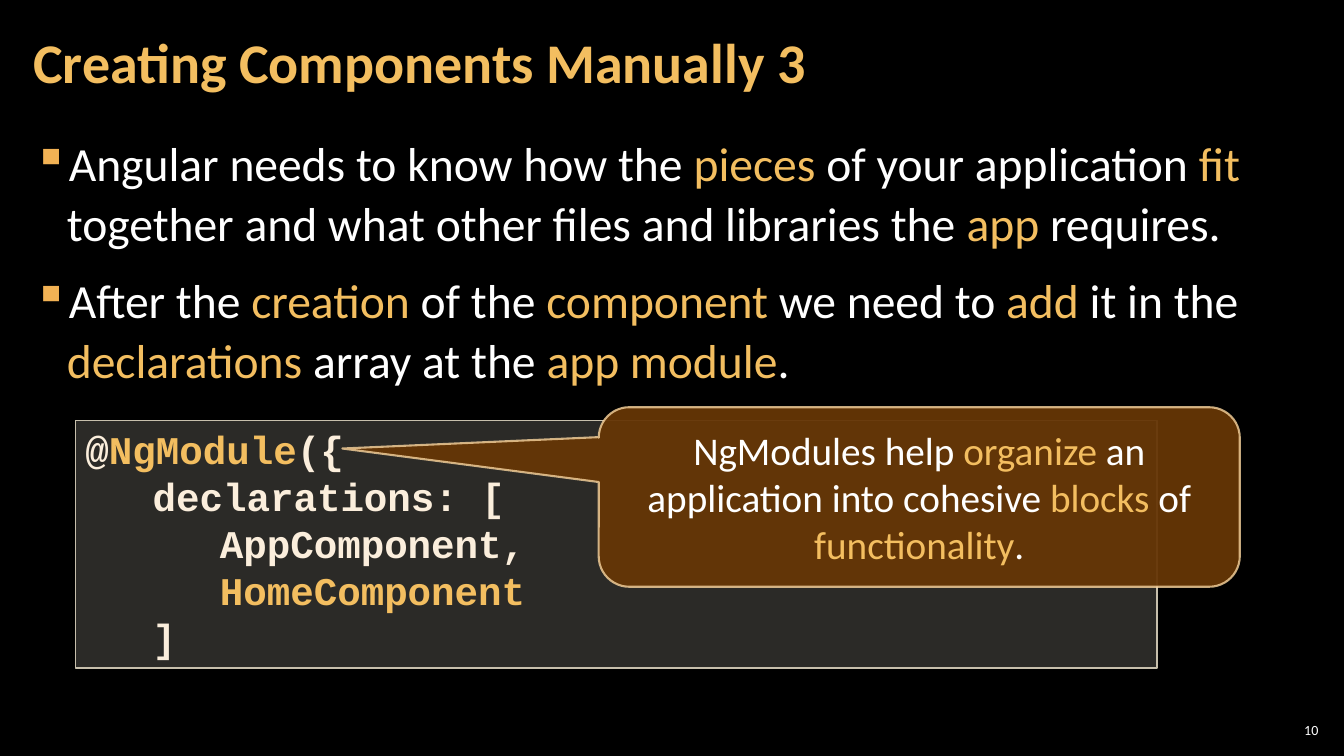
"""Build the slide on declaring an Angular component in its module."""
from dataclasses import dataclass

from lxml import etree
from pptx import Presentation
from pptx.dml.color import RGBColor
from pptx.enum.shapes import MSO_SHAPE
from pptx.enum.text import MSO_ANCHOR, PP_ALIGN
from pptx.oxml.ns import qn
from pptx.util import Pt

RECTANGLE = MSO_SHAPE.RECTANGLE
CALLOUT = MSO_SHAPE.ROUNDED_RECTANGULAR_CALLOUT
TOP, MIDDLE = MSO_ANCHOR.TOP, MSO_ANCHOR.MIDDLE
LEFT, CENTER, RIGHT = PP_ALIGN.LEFT, PP_ALIGN.CENTER, PP_ALIGN.RIGHT

BLACK = RGBColor(0x00, 0x00, 0x00)
WHITE = RGBColor(0xFF, 0xFF, 0xFF)
GOLD = RGBColor(0xF3, 0xBE, 0x60)
BULLET_GOLD = RGBColor(0xF2, 0xB2, 0x54)
CREAM = RGBColor(0xFB, 0xEE, 0xDC)
PANEL = RGBColor(0xD9, 0xD5, 0xC7)
PANEL_LINE = RGBColor(0xC7, 0xBF, 0xAC)
BROWN = RGBColor(0x66, 0x36, 0x06)
BROWN_LINE = RGBColor(0xF8, 0xD4, 0x9E)

MARK = "|"
INDENT = 48


@dataclass(frozen=True)
class Line:
    """A paragraph, with highlighted words between marks."""
    text: str
    level: int = 0


@dataclass(frozen=True)
class Style:
    """Format shared by all paragraphs of a block."""
    size: float
    color: RGBColor = WHITE
    font: str = "Calibri"
    bold: bool = False
    align: PP_ALIGN = LEFT
    anchor: MSO_ANCHOR = TOP
    spacing: float = 1.0
    gap: float = 0
    bullet: str = ""
    insets: tuple[float, float] = (8.64, 2.88)


@dataclass(frozen=True)
class Look:
    """Outline, fill and line of a drawn panel."""
    preset: MSO_SHAPE
    fill: RGBColor
    fill_alpha: int
    line: RGBColor
    line_alpha: int
    width: float
    adjustments: tuple[float, ...] = ()


@dataclass(frozen=True)
class Block:
    """A text box or panel with its place and wording."""
    box: tuple[float, float, float, float]
    style: Style
    lines: tuple[Line, ...]
    look: Look | None = None


BLOCKS = (
    Block((910.8, 514.1, 33.8, 15.1),
          Style(10, align=RIGHT, anchor=MIDDLE, insets=(2.88, 2.88)),
          (Line("10"),)),
    Block((15.1, 90.7, 929.5, 438.5),
          Style(34, spacing=1.05, gap=6, bullet="▪"),
          (Line("Angular needs to know how the |pieces| of your application |fit| "
                "together and what other files and libraries the |app| requires."),
           Line("After the |creation| of the |component| we need to |add| it in the "
                "|declarations| array at the |app module|."))),
    Block((15.1, 2.9, 753.8, 87.1),
          Style(40, GOLD, bold=True, anchor=MIDDLE, spacing=0.9),
          (Line("Creating Components Manually 3"),)),
    Block((54, 300.2, 772.6, 177.1),
          Style(28, CREAM, "Courier New", bold=True, insets=(7.2, 3.6)),
          (Line("@|NgModule|({"),
           Line("declarations: [", 1),
           Line("AppComponent,", 2),
           Line("|HomeComponent|", 2),
           Line("]", 1)),
          Look(RECTANGLE, PANEL, 20, PANEL_LINE, 100, 1)),
    Block((427.7, 290.9, 457.9, 128.2),
          Style(28, align=CENTER, anchor=MIDDLE, insets=(21.6, 7.2)),
          (Line("NgModules help |organize| an application into cohesive "
                "|blocks| of |functionality|."),),
          Look(CALLOUT, BROWN, 95, BROWN_LINE, 80, 1.5, (-0.9, -0.27, 0.17))),
)


def set_alpha(fill, percent: int) -> None:
    """Make a solid fill partly transparent."""
    color = fill._xPr.find(qn("a:solidFill"))[0]
    etree.SubElement(color, qn("a:alpha"), val=str(percent * 1000))


def set_indent(paragraph, style: Style, level: int) -> None:
    """Indent a paragraph and give it the bullet of its block."""
    properties = paragraph._p.get_or_add_pPr()
    hanging = Pt(24) if style.bullet else 0
    properties.set("marL", str(hanging + Pt(INDENT * level)))
    properties.set("indent", str(-hanging))
    if style.bullet:
        color = etree.SubElement(properties, qn("a:buClr"))
        etree.SubElement(color, qn("a:srgbClr"), val=str(BULLET_GOLD))
        etree.SubElement(properties, qn("a:buChar"), char=style.bullet)


def add_panel(slide, block: Block):
    """Draw the shape that carries a block's text."""
    box = [Pt(length) for length in block.box]
    look = block.look
    if look is None:
        return slide.shapes.add_textbox(*box)
    shape = slide.shapes.add_shape(look.preset, *box)
    shape.shadow.inherit = False
    for index, value in enumerate(look.adjustments):
        shape.adjustments[index] = value
    shape.line.width = Pt(look.width)
    for fill, color, alpha in ((shape.fill, look.fill, look.fill_alpha),
                               (shape.line.fill, look.line, look.line_alpha)):
        fill.solid()
        fill.fore_color.rgb = color
        set_alpha(fill, alpha)
    return shape


def add_block(slide, block: Block) -> None:
    """Place a block and write its paragraphs."""
    frame = add_panel(slide, block).text_frame
    style = block.style
    across, down = (Pt(inset) for inset in style.insets)
    frame_format = {
        "word_wrap": True, "vertical_anchor": style.anchor,
        "margin_left": across, "margin_right": across,
        "margin_top": down, "margin_bottom": down,
    }
    for name, value in frame_format.items():
        setattr(frame, name, value)
    font_format = {"size": Pt(style.size), "name": style.font, "bold": style.bold}
    for number, line in enumerate(block.lines):
        paragraph = frame.add_paragraph() if number else frame.paragraphs[0]
        set_indent(paragraph, style, line.level)
        paragraph_format = {
            "alignment": style.align, "line_spacing": style.spacing,
            "space_before": Pt(style.gap if number else 0),
            "space_after": Pt(style.gap),
        }
        for name, value in paragraph_format.items():
            setattr(paragraph, name, value)
        for index, words in enumerate(line.text.split(MARK)):
            if not words:
                continue
            run = paragraph.add_run()
            run.text = words
            for name, value in font_format.items():
                setattr(run.font, name, value)
            run.font.color.rgb = GOLD if index % 2 else style.color


def main() -> None:
    """Create the presentation and save it."""
    presentation = Presentation()
    presentation.slide_width, presentation.slide_height = Pt(960), Pt(540)
    slide = presentation.slides.add_slide(presentation.slide_layouts[6])
    background = slide.background.fill
    background.solid()
    background.fore_color.rgb = BLACK
    for block in BLOCKS:
        add_block(slide, block)
    presentation.save("out.pptx")


if __name__ == "__main__":
    main()
